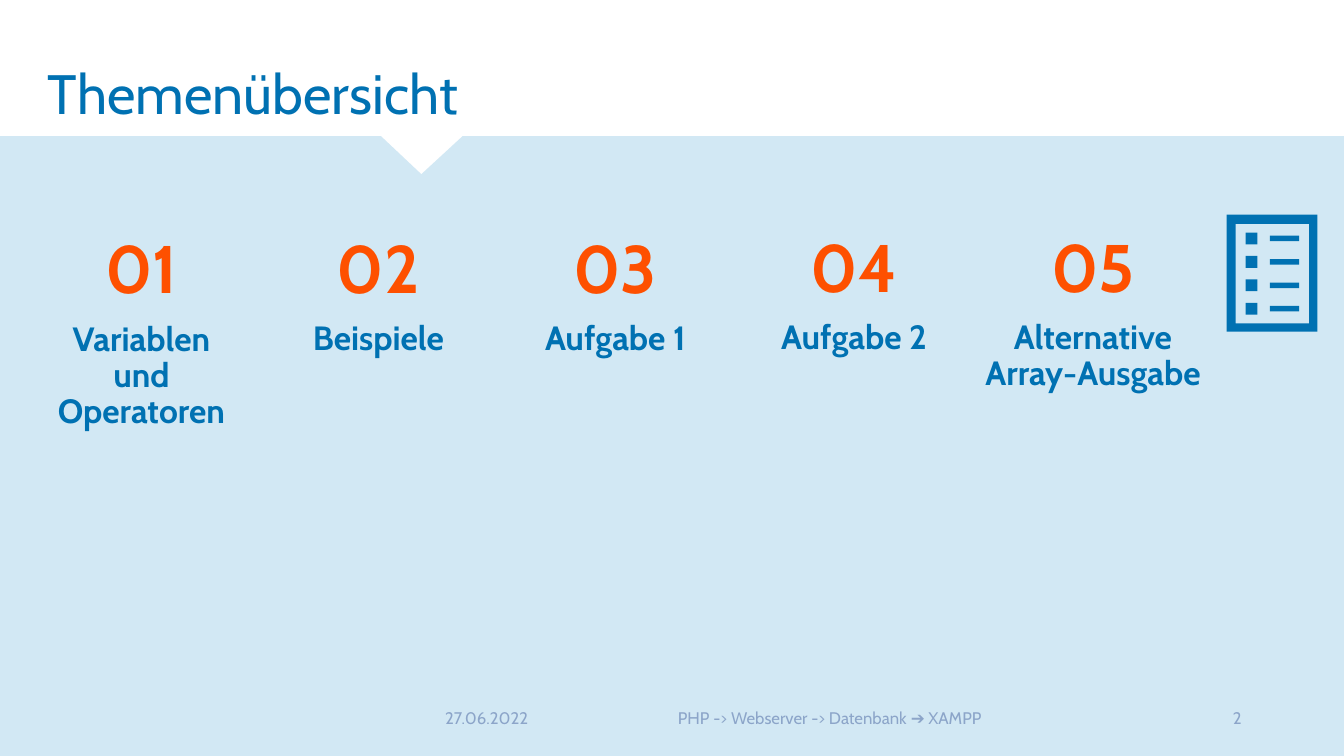
from dataclasses import dataclass

from pptx import Presentation
from pptx.dml.color import RGBColor as Rgb
from pptx.enum.shapes import MSO_SHAPE as Kind
from pptx.enum.text import MSO_ANCHOR as Anchor, PP_ALIGN as Align
from pptx.util import Cm, Pt


@dataclass(frozen=True)
class Theme:
    font: str = "Cabin"
    blue: str = "0071B2"
    orange: str = "FE5000"
    pale: str = "D2E8F4"
    grey: str = "8CA5C9"
    title: float = 39.6
    number: float = 48
    label: float = 24
    foot: float = 12


@dataclass(frozen=True)
class Topic:
    label: str
    left: float
    top: float
    gap: float
    height: float


@dataclass(frozen=True)
class Foot:
    text: str
    left: float
    width: float
    align: Align


LOOK = Theme()
COLUMN = 5.97
TOPICS = [
    Topic("Variablen\nund\nOperatoren", 0.58, 5.89, 2.11, 4.7),
    Topic("Beispiele", 6.55, 5.89, 2.09, 2.64),
    Topic("Aufgabe 1", 12.52, 5.89, 2.09, 1.17),
    Topic("Aufgabe 2", 18.54, 5.87, 2.08, 1.17),
    Topic("Alternative\nArray-Ausgabe", 24.56, 5.87, 2.08, 3.56),
]
FEET = [
    Foot("27.06.2022", 10.97, 3.94, Align.LEFT),
    Foot("PHP -> Webserver -> Datenbank ➔ XAMPP", 14.91, 12.01, Align.CENTER),
    Foot("2", 26.92, 4.62, Align.RIGHT),
]
BAND = [(0, 3.43), (9.6, 3.43), (10.62, 4.39), (11.66, 3.43),
        (33.87, 3.43), (33.88, 19.15), (0, 19.05)]


def paint(shape, color: str) -> None:
    shape.shadow.inherit = False
    shape.fill.solid()
    shape.fill.fore_color.rgb = Rgb.from_string(color)
    shape.line.fill.background()


def box(left: float, top: float, width: float, height: float) -> list:
    return [(left, top), (left + width, top),
            (left + width, top + height), (left, top + height)]


def outline(slide, color: str, *rings: list) -> None:
    first, *rest = [[(Cm(x), Cm(y)) for x, y in ring] for ring in rings]
    form = slide.shapes.build_freeform(*first[0], scale=1.0)
    form.add_line_segments(first[1:], close=True)
    for ring in rest:
        form.move_to(*ring[0])
        form.add_line_segments(ring[1:], close=True)
    paint(form.convert_to_shape(), color)


def bar(slide, left: float, top: float, width: float, height: float) -> None:
    area = map(Cm, (left, top, width, height))
    paint(slide.shapes.add_shape(Kind.RECTANGLE, *area), LOOK.blue)


def write(slide, text: str, left: float, top: float, width: float,
          height: float, *, size: float, color: str, bold: bool = False,
          align: Align = Align.LEFT, anchor: Anchor = Anchor.TOP,
          line: float = 1.0, inset: float = 0.25) -> None:
    area = map(Cm, (left, top, width, height))
    frame = slide.shapes.add_textbox(*area).text_frame
    frame.word_wrap = True
    frame.vertical_anchor = anchor
    frame.margin_left = frame.margin_right = Cm(inset)
    para = frame.paragraphs[0]
    para.text = text
    para.alignment = align
    para.line_spacing = line
    for run in para.runs:
        font = run.font
        font.name, font.size, font.bold = LOOK.font, Pt(size), bold
        font.color.rgb = Rgb.from_string(color)


def icon(slide) -> None:
    outline(slide, LOOK.blue, box(30.91, 5.41, 2.29, 2.95),
            box(31.14, 5.64, 1.85, 2.51)[::-1])
    for row in range(4):
        top = 5.86 + row * 0.59
        bar(slide, 31.39, top, 0.3, 0.3)
        bar(slide, 32, top + 0.08, 0.74, 0.14)


def main() -> None:
    deck = Presentation()
    deck.slide_width, deck.slide_height = Cm(33.87), Cm(19.05)
    slide = deck.slides.add_slide(deck.slide_layouts[6])
    outline(slide, LOOK.pale, BAND)
    write(slide, "Themenübersicht", 0.58, 1.55, 13.92, 1.88,
          size=LOOK.title, color=LOOK.blue, line=0.9, inset=0.63)
    for rank, topic in enumerate(TOPICS, 1):
        write(slide, f"{rank:02}", topic.left, topic.top, COLUMN, 1.96,
              size=LOOK.number, color=LOOK.orange, bold=True,
              align=Align.CENTER, anchor=Anchor.BOTTOM, line=0.8)
        write(slide, topic.label, topic.left, topic.top + topic.gap,
              COLUMN, topic.height, size=LOOK.label, color=LOOK.blue,
              bold=True, align=Align.CENTER, line=0.9)
    icon(slide)
    for foot in FEET:
        write(slide, foot.text, foot.left, 17.53, foot.width, 1.14,
              size=LOOK.foot, color=LOOK.grey, align=foot.align,
              anchor=Anchor.MIDDLE)
    deck.save("out.pptx")


if __name__ == "__main__":
    main()
